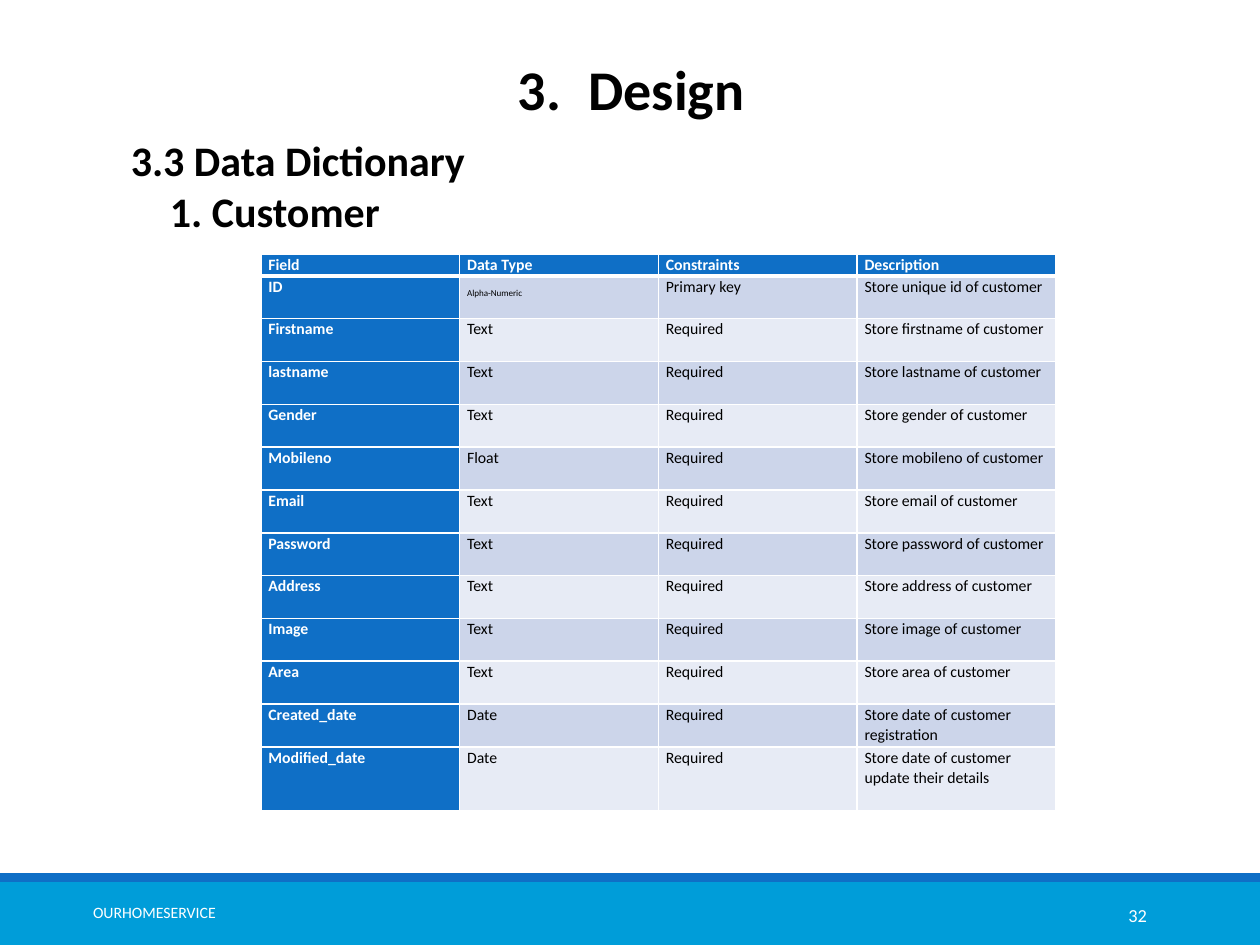
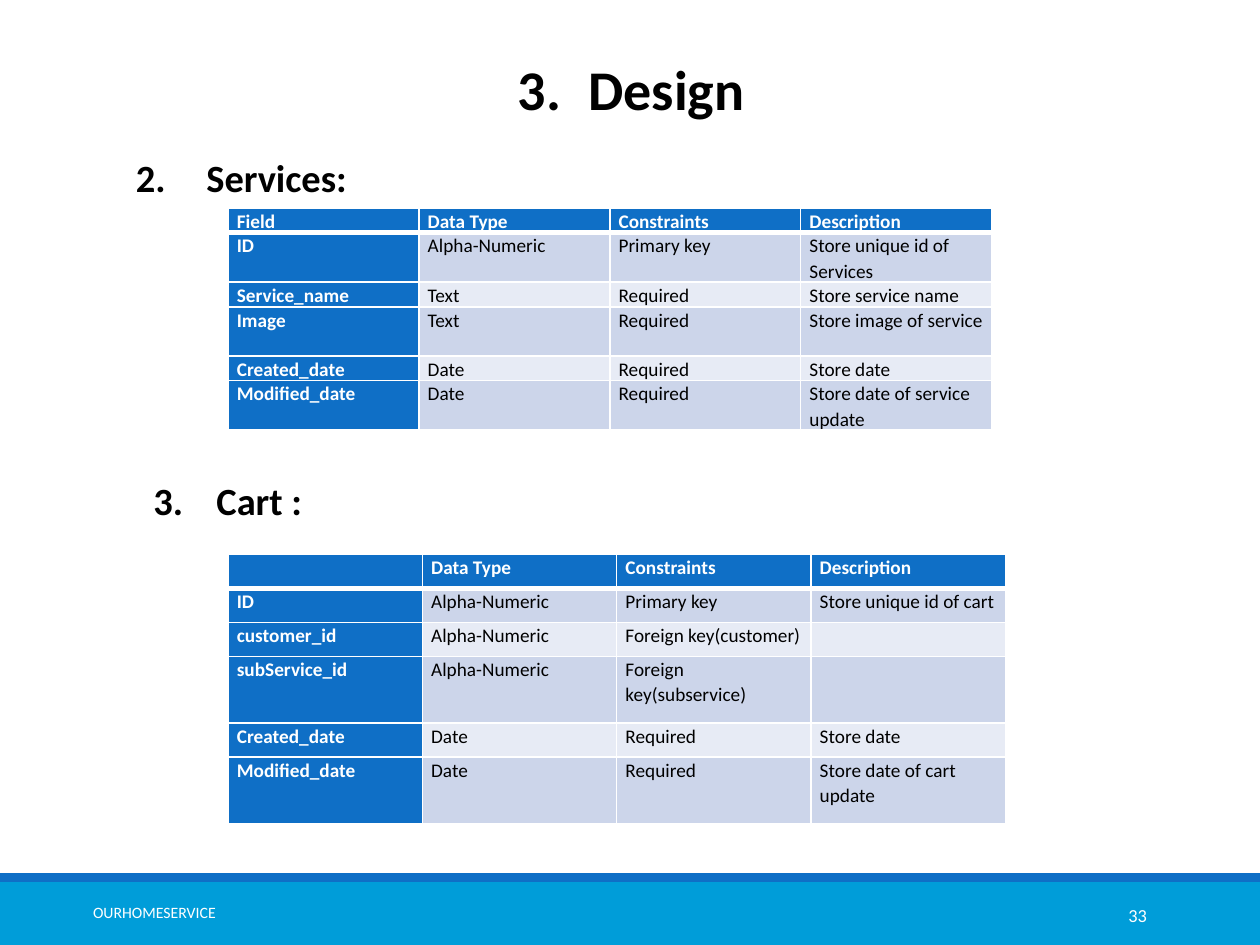
from collections import namedtuple

from lxml.etree import SubElement
from pptx import Presentation
from pptx.dml.color import RGBColor
from pptx.enum.shapes import MSO_SHAPE as SHAPE
from pptx.enum.text import MSO_ANCHOR as ANCHOR, PP_ALIGN as ALIGN
from pptx.oxml.ns import qn
from pptx.util import Inches, Pt

# The slide is a grid of 100 columns by 75 rows.
COLS, ROWS = 100, 75
WIDTH, HEIGHT = Inches(10), Inches(7.5)

FONT = "Calibri"
BLACK, WHITE = "000000", "FFFFFF"
BLUE, CYAN = "0F6FC6", "009DD9"
STRIPES = "CCD5EA", "E7EBF5"

Box = namedtuple("Box", "left top width height")
TITLE_BOX = Box(4.8, 3.8, 90.6, 6.4)
FOOTER_BOX = Box(0, 69.3, 100, 5.7)

HEADER = ["Field", "Data Type", "Constraints", "Description"]
CUSTOMER = [
    HEADER,
    ["ID", "Alpha-Numeric", "Primary key", "Store unique id of customer"],
    *([name, kind, "Required", f"Store {name.lower()} of customer"]
      for name, kind in [("Firstname", "Text"), ("lastname", "Text"),
                         ("Gender", "Text"), ("Mobileno", "Float"),
                         ("Email", "Text"), ("Password", "Text"),
                         ("Address", "Text"), ("Image", "Text"),
                         ("Area", "Text")]),
    ["Created_date", "Date", "Required", "Store date of customer registration"],
    ["Modified_date", "Date", "Required",
     "Store date of customer update their details"],
]
SERVICES = [
    HEADER,
    ["ID", "Alpha-Numeric", "Primary key", "Store unique id of Services"],
    ["Service_name", "Text", "Required", "Store service name"],
    ["Image", "Text", "Required", "Store image of service"],
    ["Created_date", "Date", "Required", "Store date"],
    ["Modified_date", "Date", "Required", "Store date of service update"],
]
CART = [
    ["", *HEADER[1:]],
    ["ID", "Alpha-Numeric", "Primary key", "Store unique id of cart"],
    ["customer_id", "Alpha-Numeric", "Foreign key(customer)", ""],
    ["subService_id", "Alpha-Numeric", "Foreign key(subservice)", ""],
    ["Created_date", "Date", "Required", "Store date"],
    ["Modified_date", "Date", "Required", "Store date of cart update"],
]


def color(hex_string):
    return RGBColor.from_string(hex_string)


def x(cols):
    return round(WIDTH * cols / COLS)


def y(rows):
    return round(HEIGHT * rows / ROWS)


def place(box):
    return x(box.left), y(box.top), x(box.width), y(box.height)


def add_run(p, text, size, hex_string=BLACK, bold=False):
    r = p.add_run()
    r.text = text
    r.font.name, r.font.size, r.font.bold = FONT, Pt(size), bold
    r.font.color.rgb = color(hex_string)
    return r


def indent(p, left, first=0, start=None):
    """Indent a paragraph by grid columns and number it from start, if given."""
    pPr = p._p.get_or_add_pPr()
    pPr.set("marL", str(x(left)))
    pPr.set("indent", str(x(first)))
    if start:
        SubElement(pPr, qn("a:buFont"), typeface="+mj-lt")
        SubElement(pPr, qn("a:buAutoNum"), type="arabicPeriod",
                   startAt=str(start))


def add_text_box(s, box, anchor=ANCHOR.TOP):
    tf = s.shapes.add_textbox(*place(box)).text_frame
    tf.word_wrap = True
    tf.vertical_anchor = anchor
    return tf


def add_title(s, box, text, number):
    sp = s.shapes.title
    sp.left, sp.top, sp.width, sp.height = place(box)
    sp.text_frame.vertical_anchor = ANCHOR.TOP
    p = sp.text_frame.paragraphs[0]
    p.alignment = ALIGN.CENTER
    indent(p, 5.6, -5.6, number)
    add_run(p, text, 32, bold=True)


def add_footer(s, box, page):
    stripe = 0.7
    for top, height, fill in [(stripe, box.height - stripe, CYAN),
                              (0, stripe, BLUE)]:
        band = Box(box.left, box.top + top, box.width, height)
        sp = s.shapes.add_shape(SHAPE.RECTANGLE, *place(band))
        sp.shadow.inherit = False
        sp.fill.solid()
        sp.fill.fore_color.rgb = color(fill)
        sp.line.fill.background()
    for left, top, width, text, size, align in [
            (2.3, 1.1, 19.9, "OURHOMESERVICE", 9, ALIGN.CENTER),
            (81.2, 1.3, 10.8, str(page), 10.5, ALIGN.RIGHT)]:
        label = Box(box.left + left, box.top + top, width, 4)
        p = add_text_box(s, label, ANCHOR.MIDDLE).paragraphs[0]
        p.alignment = align
        add_run(p, text, size, WHITE)


def add_numbered_heading(s, box, text, number, left, hang):
    p = add_text_box(s, box).paragraphs[0]
    p.alignment = ALIGN.JUSTIFY
    p.line_spacing = 1.5
    indent(p, left, -hang, number)
    add_run(p, text, 22, bold=True)


def set_borders(cell, **widths):
    tcPr = cell._tc.get_or_add_tcPr()
    for side in "LRTB":
        ln = SubElement(tcPr, qn(f"a:ln{side}"),
                        w=str(Pt(widths.get(side, 1))))
        SubElement(SubElement(ln, qn("a:solidFill")), qn("a:srgbClr"),
                   val=WHITE)


def fill_cell(cell, text, size, inset, row, col):
    is_head = row == 0 or col == 0
    set_borders(cell, T=3 if row == 1 else 1, B=3 if row == 0 else 1)
    cell.fill.solid()
    cell.fill.fore_color.rgb = color(BLUE if is_head else STRIPES[(row - 1) % 2])
    cell.margin_left = cell.margin_right = x(inset)
    cell.margin_top = cell.margin_bottom = 0
    p = cell.text_frame.paragraphs[0]
    p.line_spacing = 1.07
    if text:
        add_run(p, text, size, WHITE if is_head else BLACK, is_head)
    else:
        SubElement(p._p, qn("a:endParaRPr"), sz=str(size * 100))


def add_dictionary(s, box, rows, heights, size, inset):
    """Draw a field table; heights are grid rows, one for each table row."""
    table = s.shapes.add_table(len(rows), len(HEADER), *place(box)).table
    table.horz_banding = False
    for column in table.columns:
        column.width = x(box.width / len(HEADER))
    for i, (texts, height) in enumerate(zip(rows, heights)):
        table.rows[i].height = y(height)
        for j, text in enumerate(texts):
            fill_cell(table.cell(i, j), text, size, inset, i, j)
    return table


def add_design_slide(prs, page):
    s = prs.slides.add_slide(prs.slide_layouts[5])
    add_title(s, TITLE_BOX, "Design", 3)
    add_footer(s, FOOTER_BOX, page)
    return s


def add_customer_slide(prs):
    s = add_design_slide(prs, 32)
    tf = add_text_box(s, Box(7.1, 10.2, 70.3, 9.1))
    for p, text, left in [(tf.paragraphs[0], "3.3 Data Dictionary", 2.3),
                          (tf.add_paragraph(), "1. Customer", 5.4)]:
        indent(p, left)
        add_run(p, text, 24, bold=True)
    table = add_dictionary(s, Box(20.7, 20.2, 63.1, 44), CUSTOMER,
                           [1.7] + [3.4] * 11 + [5.1], 9, 0.6)
    id_type = table.cell(1, 1).text_frame.paragraphs[0].runs[0]
    id_type._r.get_or_add_rPr().set("baseline", "-25000")


def add_services_and_cart_slide(prs):
    s = add_design_slide(prs, 33)
    add_numbered_heading(s, Box(4.8, 9.9, 90.6, 6.6), "Services:", 2, 10.6, 5.6)
    add_dictionary(s, Box(18.1, 16.5, 60.6, 17.7), SERVICES,
                   [1.9, 3.9, 1.9, 3.9, 1.9, 3.9], 11, 0.7)
    add_numbered_heading(s, Box(6.2, 35.5, 90.6, 6.6), "Cart :", 3, 10, 5)
    add_dictionary(s, Box(18.1, 44, 61.7, 21.3), CART,
                   [2.7, 2.7, 2.7, 5.3, 2.7, 5.3], 11, 0.7)


def main():
    prs = Presentation()
    prs.slide_width, prs.slide_height = WIDTH, HEIGHT
    add_customer_slide(prs)
    add_services_and_cart_slide(prs)
    prs.save("out.pptx")


if __name__ == "__main__":
    main()
